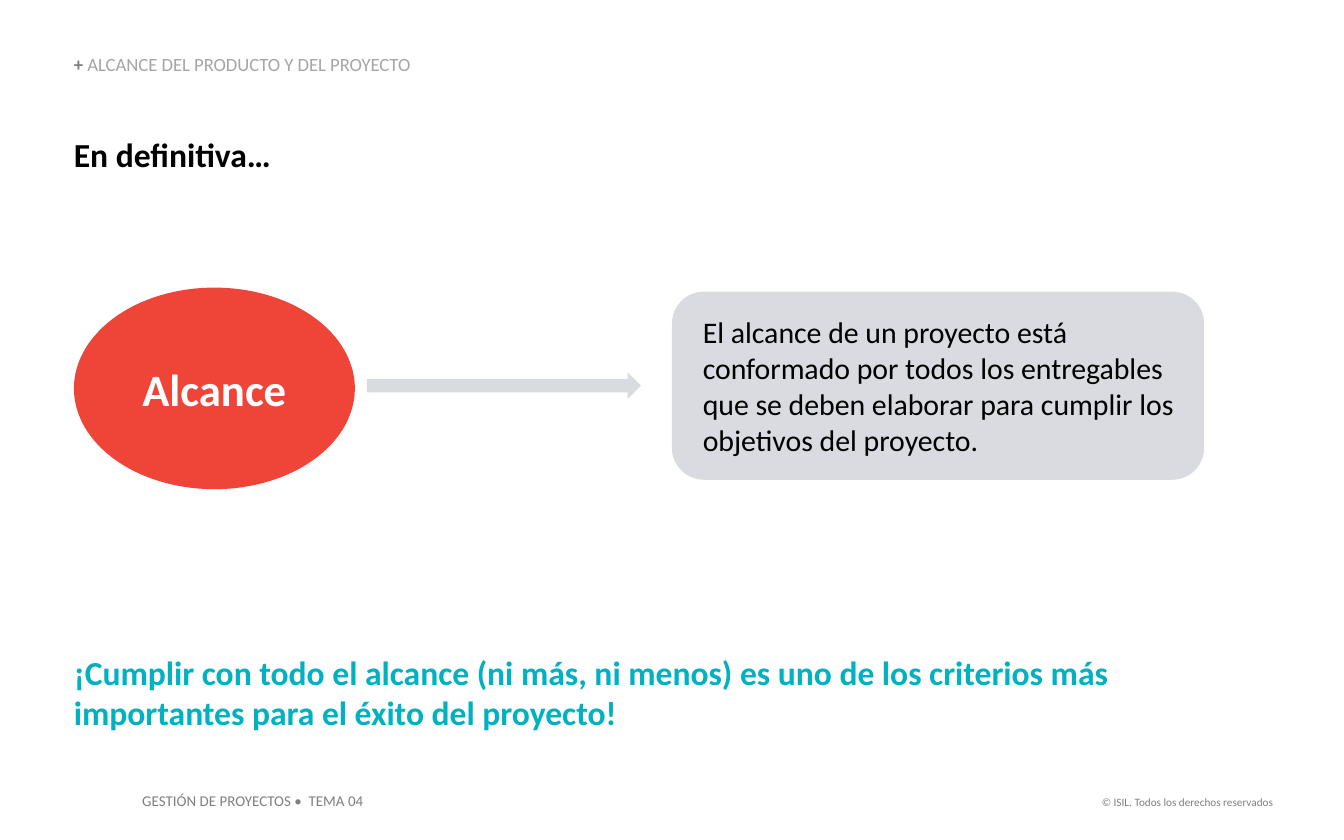
from pptx import Presentation
from pptx import util as u
from pptx.dml.color import RGBColor
from pptx.enum import shapes, text

RED = RGBColor(0xEF, 0x45, 0x39)
TEAL = RGBColor(0x00, 0xB1, 0xC2)
MIST = RGBColor(0xD9, 0xDB, 0xE1)
GRAY = RGBColor(0x7F, 0x7F, 0x7F)
SILVER = RGBColor(0xA5, 0xA5, 0xA5)
BLACK = RGBColor(0, 0, 0)
WHITE = RGBColor(0xFF, 0xFF, 0xFF)

LEFT = 0.55
PADDED = (0.1, 0.05, 0.1, 0.05)
FLUSH = (0, 0, 0, 0)
SHAPE = shapes.MSO_SHAPE
ALIGN = text.PP_ALIGN
ANCHOR = text.MSO_ANCHOR


class SlideBuilder:
    font_name = "Calibri"

    def __init__(self, page):
        self.page = page

    def fill_text(self, box, spans, insets, anchor=ANCHOR.TOP, align=ALIGN.LEFT, spacing=None):
        frame = box.text_frame
        sides = ("margin_left", "margin_top", "margin_right", "margin_bottom")
        frame_format = {side: u.Inches(inset) for side, inset in zip(sides, insets)}
        frame_format.update(word_wrap=True, vertical_anchor=anchor)
        for name, value in frame_format.items():
            setattr(frame, name, value)
        para = frame.paragraphs[0]
        para.alignment = align
        para.line_spacing = spacing
        for words, size, color, bold in spans:
            span = para.add_run()
            span.text = words
            span.font.color.rgb = color
            font_format = {"name": self.font_name, "size": u.Pt(size), "bold": bold}
            for name, value in font_format.items():
                setattr(span.font, name, value)

    def label(self, area, spans, insets=FLUSH, **layout):
        box = self.page.shapes.add_textbox(*map(u.Inches, area))
        self.fill_text(box, spans, insets, **layout)

    def shape(self, kind, area, fill, adjustments=()):
        box = self.page.shapes.add_shape(kind, *map(u.Inches, area))
        box.shadow.inherit = False
        box.fill.solid()
        box.fill.fore_color.rgb = fill
        box.line.fill.background()
        for index, value in enumerate(adjustments):
            box.adjustments[index] = value
        return box


def main():
    deck = Presentation()
    deck.slide_width = u.Inches(10)
    deck.slide_height = u.Inches(6.25)
    builder = SlideBuilder(deck.slides.add_slide(deck.slide_layouts[6]))

    builder.label((7.91, 5.87, 1.66, 0.2),
                  [("© ISIL. Todos los derechos reservados", 6, GRAY, False)],
                  PADDED, align=ALIGN.RIGHT)
    builder.label((0.96, 5.84, 1.85, 0.24),
                  [("GESTIÓN DE PROYECTOS •  TEMA 04", 8, GRAY, False)], PADDED)
    builder.label((LEFT, 0.41, 4.25, 0.15),
                  [("+ ", 10, GRAY, True),
                   ("ALCANCE DEL PRODUCTO Y DEL PROYECTO", 10, SILVER, False)],
                  anchor=ANCHOR.BOTTOM, spacing=0.9)
    builder.label((LEFT, 1, 4.57, 0.3), [("En definitiva…", 18, BLACK, True)])

    scope = builder.shape(SHAPE.OVAL, (LEFT, 2.14, 2.09, 1.5), RED)
    builder.fill_text(scope, [("Alcance", 24, WHITE, True)], PADDED,
                      anchor=ANCHOR.MIDDLE, align=ALIGN.CENTER)
    builder.shape(SHAPE.RIGHT_ARROW, (2.73, 2.77, 2.04, 0.2), MIST, (0.5, 0.5))
    definition = builder.shape(SHAPE.ROUNDED_RECTANGLE, (5, 2.17, 3.96, 1.4), MIST, (0.17,))
    builder.fill_text(definition,
                      [("El alcance de un proyecto está conformado por todos los entregables "
                        "que se deben elaborar para cumplir los objetivos del proyecto.",
                        16, BLACK, False)],
                      (0.16, 0.12, 0.1, 0.12), anchor=ANCHOR.MIDDLE)

    builder.label((LEFT, 4.85, 8.94, 0.61),
                  [("¡Cumplir con todo el alcance (ni más, ni menos) es uno de los criterios "
                    "más importantes para el éxito del proyecto!", 18, TEAL, True)])
    deck.save("out.pptx")


if __name__ == "__main__":
    main()
